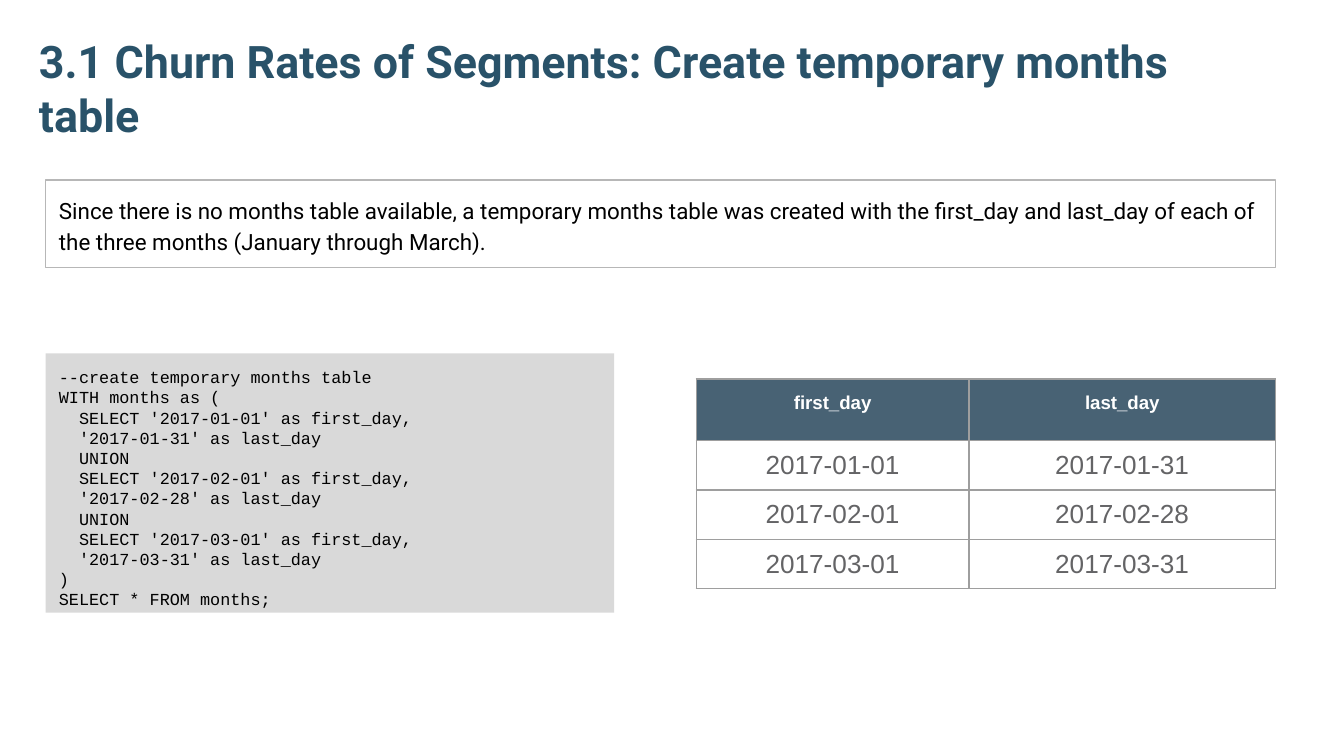
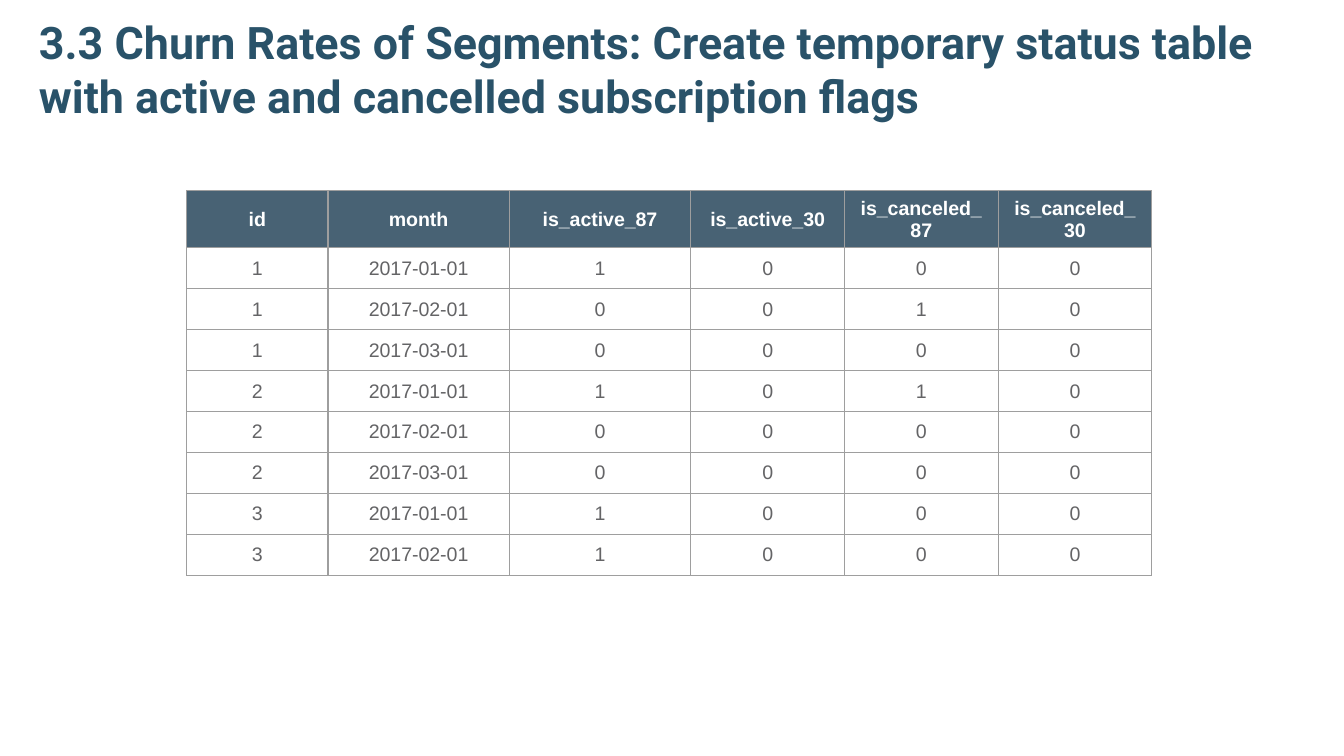
from lxml.etree import SubElement
from pptx import Presentation
from pptx.dml.color import RGBColor
from pptx.enum.shapes import MSO_SHAPE
from pptx.enum.text import MSO_ANCHOR, MSO_AUTO_SIZE, PP_ALIGN
from pptx.oxml.ns import qn
from pptx.util import Inches, Pt

# Shared colours and text formats
TITLE_BLUE = RGBColor(0x29, 0x52, 0x69)
HEADER_BLUE = RGBColor(0x20, 0x40, 0x56)
CELL_GREY = RGBColor(0x64, 0x64, 0x66)
BORDER_GREY = RGBColor(0x9E, 0x9E, 0x9E)
NOTE_BORDER = RGBColor(0xB7, 0xB7, 0xB7)
CODE_GREY = RGBColor(0xD9, 0xD9, 0xD9)
WHITE = RGBColor(0xFF, 0xFF, 0xFF)
BLACK = RGBColor(0, 0, 0)

TITLE_FONT = {"name": "Roboto", "size": Pt(24), "bold": True}
NOTE_FONT = {"name": "Roboto", "size": Pt(12), "bold": False}
CODE_FONT = {"name": "Courier New", "size": Pt(9), "bold": False}
MARGINS = ("margin_left", "margin_right", "margin_top", "margin_bottom")


def write_text(tf, text, font, color, align=PP_ALIGN.LEFT, spacing=1.0):
    for i, line in enumerate(text.split("\n")):
        p = tf.paragraphs[0] if i == 0 else tf.add_paragraph()
        p.alignment = align
        p.line_spacing = spacing
        r = p.add_run()
        r.text = line
        r.font.color.rgb = color
        for name, value in font.items():
            setattr(r.font, name, value)


def add_grid(s, left, top, widths, heights, rows, header_size, body_size):
    frame = s.shapes.add_table(len(rows), len(widths), Inches(left), Inches(top),
                               Inches(sum(widths)), Inches(sum(heights)))
    table = frame.table
    table.first_row = table.horz_banding = False
    for column, width in zip(table.columns, widths):
        column.width = Inches(width)
    for i, values in enumerate(rows):
        table.rows[i].height = Inches(heights[i])
        for j, value in enumerate(values):
            cell = table.cell(i, j)
            cell.vertical_anchor = MSO_ANCHOR.MIDDLE
            # Borders come before the fill in the cell properties
            tcPr = cell._tc.get_or_add_tcPr()
            for side in ("a:lnL", "a:lnR", "a:lnT", "a:lnB"):
                ln = SubElement(tcPr, qn(side), w=str(Pt(0.75)))
                fill = SubElement(ln, qn("a:solidFill"))
                SubElement(fill, qn("a:srgbClr"), val=str(BORDER_GREY))
            if i == 0:
                cell.fill.solid()
                cell.fill.fore_color.rgb = HEADER_BLUE
                rgb = tcPr.find(qn("a:solidFill")).find(qn("a:srgbClr"))
                SubElement(rgb, qn("a:alpha"), val="82000")
            else:
                cell.fill.background()
            font = {"name": "Arial", "bold": i == 0,
                    "size": Pt(header_size if i == 0 else body_size)}
            write_text(cell.text_frame, value, font,
                       WHITE if i == 0 else CELL_GREY, PP_ALIGN.CENTER)
    return table


# Widescreen 16:9
prs = Presentation()
prs.slide_width = Inches(10)
prs.slide_height = prs.slide_width * 9 // 16

# Slides with their titles
titles = [
    ("3.1 Churn Rates of Segments: Create temporary months table", 0.23),
    ("3.3 Churn Rates of Segments: Create temporary status table "
     "with active and cancelled subscription flags", 0.09),
]
for text, top in titles:
    s = prs.slides.add_slide(prs.slide_layouts[5])
    sp = s.shapes.title
    sp.left, sp.top, sp.width, sp.height = (
        Inches(v) for v in (0.19, top, 9.32, 0.92))
    tf = sp.text_frame
    tf.word_wrap = True
    tf.auto_size = MSO_AUTO_SIZE.NONE
    tf.vertical_anchor = MSO_ANCHOR.BOTTOM
    for margin in MARGINS:
        setattr(tf, margin, Inches(0.1))
    write_text(tf, text, TITLE_FONT, TITLE_BLUE)
months_slide, status_slide = prs.slides

# Slide 1: query and explanation boxes
code = """--create temporary months table
WITH months as (
  SELECT '2017-01-01' as first_day,
  '2017-01-31' as last_day
  UNION
  SELECT '2017-02-01' as first_day,
  '2017-02-28' as last_day
  UNION
  SELECT '2017-03-01' as first_day,
  '2017-03-31' as last_day
)
SELECT * FROM months;"""
note = ("Since there is no months table available, a temporary months table was "
        "created with the first_day and last_day of each of the three months "
        "(January through March).")
boxes = [
    (code, 2.63, 4.23, 1.93, CODE_FONT, 1.0, CODE_GREY, None),
    (note, 1.34, 9.15, 0.65, NOTE_FONT, 1.15, None, NOTE_BORDER),
]
for text, top, width, height, font, spacing, fill, line in boxes:
    sp = months_slide.shapes.add_shape(MSO_SHAPE.RECTANGLE, Inches(0.34), Inches(top),
                                       Inches(width), Inches(height))
    sp.shadow.inherit = False
    if fill is None:
        sp.fill.background()
    else:
        sp.fill.solid()
        sp.fill.fore_color.rgb = fill
    if line is None:
        sp.line.fill.background()
    else:
        sp.line.color.rgb = line
        sp.line.width = Pt(0.75)
    tf = sp.text_frame
    tf.word_wrap = True
    tf.vertical_anchor = MSO_ANCHOR.TOP
    for margin in MARGINS:
        setattr(tf, margin, Inches(0.1))
    write_text(tf, text, font, BLACK, spacing=spacing)

# Slide 1: months table, with a top-aligned header
months = [
    ("first_day", "last_day"),
    ("2017-01-01", "2017-01-31"),
    ("2017-02-01", "2017-02-28"),
    ("2017-03-01", "2017-03-31"),
]
table = add_grid(months_slide, 5.18, 2.82, [2.03, 2.28], [0.46] + [1.1 / 3] * 3,
                 months, 10, 14)
for cell in table.rows[0].cells:
    cell.vertical_anchor = MSO_ANCHOR.TOP
    for margin in MARGINS:
        setattr(cell, margin, Inches(0.1))

# Slide 2: status table
status = [
    ("id", "month", "is_active_87", "is_active_30", "is_canceled_87", "is_canceled_30"),
    ("1", "2017-01-01", "1", "0", "0", "0"),
    ("1", "2017-02-01", "0", "0", "1", "0"),
    ("1", "2017-03-01", "0", "0", "0", "0"),
    ("2", "2017-01-01", "1", "0", "1", "0"),
    ("2", "2017-02-01", "0", "0", "0", "0"),
    ("2", "2017-03-01", "0", "0", "0", "0"),
    ("3", "2017-01-01", "1", "0", "0", "0"),
    ("3", "2017-02-01", "1", "0", "0", "0"),
]
add_grid(status_slide, 1.39, 1.42, [1.05] + [1.35] * 2 + [3.43 / 3] * 3,
         [0.38] + [2.44 / 8] * 8, status, 10.5, 10.5)

prs.save("out.pptx")
